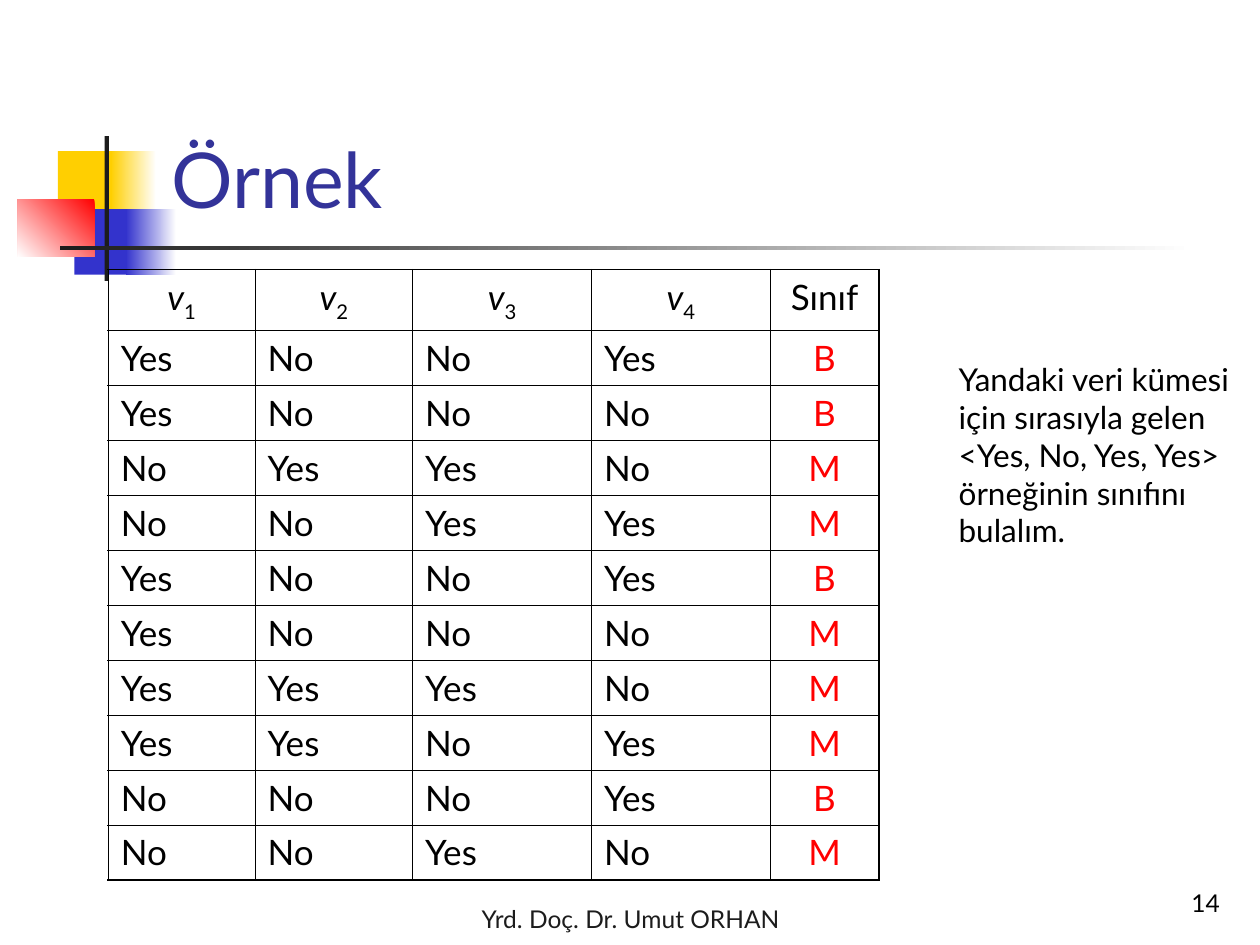
import dataclasses

import lxml.etree
import pptx
import pptx.dml.color
import pptx.enum.shapes
import pptx.enum.text
import pptx.oxml.ns
import pptx.util

ALIGN = pptx.enum.text.PP_ALIGN
ANCHOR = pptx.enum.text.MSO_ANCHOR
COLUMNS, ROWS = 100, 75


@dataclasses.dataclass(frozen=True)
class Theme:
    font: str = "Lato"
    black: str = "000000"
    white: str = "FFFFFF"
    ink: str = "1C1C1C"
    navy: str = "333399"
    blue: str = "3333CC"
    yellow: str = "FFCF01"
    red: str = "FF0000"
    title: int = 44
    table: int = 20
    body: int = 18
    small: int = 14
    inner: float = 0.45
    outer: float = 1.08


def rgb(value):
    return pptx.dml.color.RGBColor.from_string(value)


def apply(obj, values):
    for name, value in values.items():
        setattr(obj, name, value)


class Deck:
    def __init__(self, theme):
        self.theme = theme
        self.prs = pptx.Presentation()
        apply(self.prs, {"slide_width": pptx.util.Inches(10),
                         "slide_height": pptx.util.Inches(7.5)})
        self.s = self.prs.slides.add_slide(self.prs.slide_layouts[5])

    def x(self, columns):
        return round(self.prs.slide_width * columns / COLUMNS)

    def y(self, rows):
        return round(self.prs.slide_height * rows / ROWS)

    def box(self, left, top, width, height):
        return self.x(left), self.y(top), self.x(width), self.y(height)

    def run(self, p, text, size, color, italic=False, subscript=False):
        r = p.add_run()
        r.text = text
        apply(r.font, {"name": self.theme.font, "size": pptx.util.Pt(size),
                       "bold": False, "italic": italic})
        r.font.color.rgb = rgb(color)
        if subscript:
            r.font._element.set("baseline", "-25000")

    def fill_text(self, tf, lines, size, color, align, anchor):
        apply(tf, {"word_wrap": True, "vertical_anchor": anchor,
                   "auto_size": pptx.enum.text.MSO_AUTO_SIZE.NONE})
        for i, line in enumerate(lines):
            p = tf.add_paragraph() if i else tf.paragraphs[0]
            p.alignment = align
            self.run(p, line, size, color)

    def title(self, text, at):
        sp = self.s.shapes.title
        apply(sp, dict(zip(("left", "top", "width", "height"), self.box(*at))))
        self.fill_text(sp.text_frame, [text], self.theme.title, self.theme.navy,
                       ALIGN.LEFT, ANCHOR.BOTTOM)
        sp._element.getparent().append(sp._element)

    def text(self, lines, at, size, color, align=ALIGN.LEFT, anchor=ANCHOR.TOP):
        sp = self.s.shapes.add_textbox(*self.box(*at))
        self.fill_text(sp.text_frame, lines, size, color, align, anchor)

    def block(self, at, *colors, angle=180):
        sp = self.s.shapes.add_shape(pptx.enum.shapes.MSO_SHAPE.RECTANGLE, *self.box(*at))
        sp.shadow.inherit = False
        sp.line.fill.background()
        if len(colors) == 1:
            sp.fill.solid()
            sp.fill.fore_color.rgb = rgb(colors[0])
            return
        sp.fill.gradient()
        sp.fill.gradient_angle = angle
        for stop, color in zip(sp.fill.gradient_stops, colors):
            stop.color.rgb = rgb(color)

    def border(self, cell, side, width):
        qn = pptx.oxml.ns.qn
        ln = lxml.etree.SubElement(cell._tc.get_or_add_tcPr(), qn(f"a:ln{side}"),
                                   w=str(pptx.util.Pt(width)))
        fill = lxml.etree.SubElement(ln, qn("a:solidFill"))
        lxml.etree.SubElement(fill, qn("a:srgbClr"), val=self.theme.black)

    def table(self, header, rows, left, top, widths, heights):
        t = self.theme
        n_rows, n_cols = len(heights), len(widths)
        at = self.box(left, top, sum(widths), sum(heights))
        tbl = self.s.shapes.add_table(n_rows, n_cols, *at).table
        apply(tbl, {"first_row": False, "horz_banding": False})
        for column, width in zip(tbl.columns, widths):
            column.width = self.x(width)
        for row, height in zip(tbl.rows, heights):
            row.height = self.y(height)
        for i, values in enumerate([header, *rows]):
            for j, value in enumerate(values):
                cell = tbl.cell(i, j)
                edges = {"L": j == 0, "R": j == n_cols - 1,
                         "T": i == 0, "B": i == n_rows - 1}
                for side, is_outer in edges.items():
                    self.border(cell, side, t.outer if is_outer else t.inner)
                cell.fill.background()
                is_class = j == n_cols - 1
                p = cell.text_frame.paragraphs[0]
                p.alignment = ALIGN.CENTER if i == 0 or is_class else ALIGN.LEFT
                if i == 0 and not is_class:
                    self.run(p, value[0], t.table, t.black, italic=True)
                    self.run(p, value[1], t.table, t.black, subscript=True)
                else:
                    self.run(p, value, t.table, t.red if i and is_class else t.black)


def main():
    t = Theme()
    d = Deck(t)

    d.block((4.6, 12, 4.8, 5.2), t.yellow)
    d.block((8.8, 12, 3.6, 5.2), t.white, t.yellow)
    d.block((5.9, 16.6, 4.6, 5.2), t.blue)
    d.block((10, 16.6, 4, 5.2), t.white, t.blue)
    d.block((1.4, 15.8, 6.1, 4.6), t.red, t.white, angle=225)
    d.block((8.3, 10.8, 0.35, 11.5), t.ink)
    d.block((4.8, 19.5, 90, 0.35), t.white, t.ink)
    d.text(["Yrd. Doç. Dr. Umut ORHAN"], (2, 71.2, 96.1, 3.4), t.small, t.ink,
           ALIGN.CENTER, ANCHOR.BOTTOM)

    d.title("Örnek", (12.6, 2.3, 85.2, 16))

    samples = [
        "Yes No No Yes B",
        "Yes No No No B",
        "No Yes Yes No M",
        "No No Yes Yes M",
        "Yes No No Yes B",
        "Yes No No No M",
        "Yes Yes Yes No M",
        "Yes Yes No Yes M",
        "No No No Yes B",
        "No No Yes No M",
    ]
    d.table(["v1", "v2", "v3", "v4", "Sınıf"], [row.split() for row in samples],
            8.6, 21.4, [11.65, 12.5, 14.2, 14.2, 8.6],
            [4.85] + [4.36] * len(samples))

    d.text(["Yandaki veri kümesi için sırasıyla gelen", "<Yes, No, Yes, Yes>",
            "örneğinin sınıfını bulalım."], (75.1, 28.1, 24.9, 22), t.body, t.black)
    d.text(["14"], (77, 68.3, 20.8, 5), t.small, t.black, ALIGN.RIGHT, ANCHOR.BOTTOM)

    d.prs.save("out.pptx")


if __name__ == "__main__":
    main()
